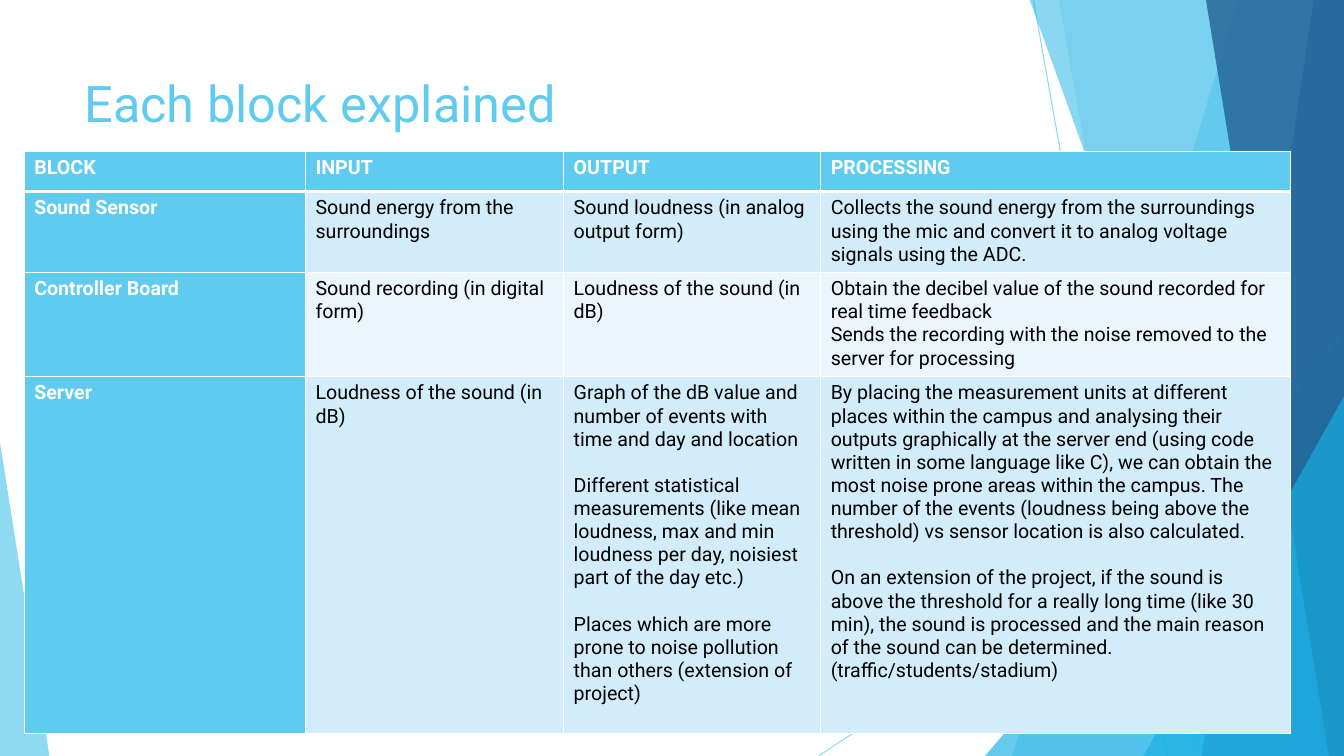
from lxml.etree import SubElement
from pptx import Presentation
from pptx.dml.color import RGBColor
from pptx.enum.shapes import MSO_CONNECTOR, MSO_SHAPE
from pptx.oxml.ns import qn
from pptx.util import Pt

EMU_PER_PX = 9144
WIDTH, HEIGHT = 1333, 750
FONT = "Roboto"
TEXT_SIZE = 14
BLANK_LINE = Pt(16.4)

WHITE = RGBColor(0xFF, 0xFF, 0xFF)
BLACK = RGBColor(0x00, 0x00, 0x00)
SKY = RGBColor(0x5F, 0xCB, 0xEF)
CYAN = RGBColor(0x17, 0xB0, 0xE4)
BLUE = RGBColor(0x2E, 0x83, 0xC3)
NAVY = RGBColor(0x22, 0x62, 0x92)
ROW_TINTS = [RGBColor(0xD2, 0xEC, 0xF9), RGBColor(0xEA, 0xF6, 0xFC)]

COLUMN_WIDTHS = [279, 256, 255, 466]
ROW_HEIGHTS = [40, 79, 102, 354]
# Each cell is a list of paragraphs.
BLOCKS = [
    [["BLOCK"], ["INPUT"], ["OUTPUT"], ["PROCESSING"]],
    [["Sound Sensor"],
     ["Sound energy from the surroundings"],
     ["Sound loudness (in analog output form)"],
     ["Collects the sound energy from the surroundings using the mic and "
      "convert it to analog voltage signals using the ADC."]],
    [["Controller Board"],
     ["Sound recording (in digital form)"],
     ["Loudness of the sound (in dB)"],
     ["Obtain the decibel value of the sound recorded for real time feedback",
      "Sends the recording with the noise removed to the server for processing"]],
    [["Server"],
     ["Loudness of the sound (in dB)"],
     ["Graph of the dB value and number of events with time and day and location",
      "Different statistical measurements (like mean loudness, max and min "
      "loudness per day, noisiest part of the day etc.)",
      "Places which are more prone to noise pollution than others "
      "(extension of project)"],
     ["By placing the measurement units at different places within the campus "
      "and analysing their outputs graphically at the server end (using code "
      "written in some language like C), we can obtain the most noise prone "
      "areas within the campus. The number of the events (loudness being above "
      "the threshold) vs sensor location is also calculated.",
      "On an extension of the project, if the sound is above the threshold for "
      "a really long time (like 30 min), the sound is processed and the main "
      "reason of the sound can be determined. (traffic/students/stadium)"]],
]
SERVER_ROW = 3


def px(*lengths):
    return [length * EMU_PER_PX for length in lengths]


def set_opacity(shape_properties, percent):
    color = next(shape_properties.iter(qn("a:srgbClr")))
    SubElement(color, qn("a:alpha"), val=str(percent * 1000))


def paint(facet, color, opacity):
    facet.shadow.inherit = False
    facet.fill.solid()
    facet.fill.fore_color.rgb = color
    facet.line.fill.background()
    set_opacity(facet._element.spPr, opacity)


def add_ray(slide, start, end):
    ray = slide.shapes.add_connector(MSO_CONNECTOR.STRAIGHT, *px(*start, *end))
    ray.line.color.rgb = SKY
    ray.line.width = Pt(0.75)
    set_opacity(ray._element.spPr, 70)
    SubElement(ray._element.spPr, qn("a:effectLst"))


def add_band(slide, top_x, bottom_x, color, opacity):
    """Fill from a slanted left edge to the right side of the slide."""
    builder = slide.shapes.build_freeform(top_x, -1, scale=EMU_PER_PX)
    builder.add_line_segments(
        [(WIDTH, -1), (WIDTH, HEIGHT), (bottom_x, HEIGHT)], close=True)
    paint(builder.convert_to_shape(), color, opacity)


def add_corner(slide, left, top, width, apex, color, opacity):
    """Right triangle standing on the bottom edge; apex 0 is left, 1 right."""
    corner = slide.shapes.add_shape(
        MSO_SHAPE.ISOSCELES_TRIANGLE, *px(left, top, width, HEIGHT - top))
    corner.adjustments[0] = apex
    paint(corner, color, opacity)


def add_backdrop(slide):
    add_ray(slide, (1025, 0), (1158, HEIGHT))
    add_ray(slide, (WIDTH, 403), (812, HEIGHT))
    add_band(slide, 1228, 1004, SKY, 36)
    add_band(slide, 1050, 1183, SKY, 20)
    add_corner(slide, 977, 333, 356, 1, CYAN, 66)
    add_band(slide, 1021, 1291, CYAN, 50)
    add_band(slide, 1303, 1192, BLUE, 70)
    add_band(slide, 1196, 1318, NAVY, 80)
    add_corner(slide, 1134, 393, 199, 1, CYAN, 66)
    add_corner(slide, 0, 439, 49, 0, SKY, 70)


def style_font(paragraph, size, color, bold=False):
    for run in paragraph.runs:
        run.font.name = FONT
        run.font.size = Pt(size)
        run.font.bold = bold
        run.font.color.rgb = color


def add_title(slide, text):
    frame = slide.shapes.add_textbox(*px(74, 67, 940, 80)).text_frame
    frame.word_wrap = True
    frame.text = text
    style_font(frame.paragraphs[0], 36, SKY)


def set_borders(cell, top, bottom):
    for side, points in (("L", 1), ("R", 1), ("T", top), ("B", bottom)):
        border = SubElement(cell._tc.get_or_add_tcPr(), qn(f"a:ln{side}"),
                            w=str(Pt(points)))
        fill = SubElement(border, qn("a:solidFill"))
        SubElement(fill, qn("a:srgbClr"), val=str(WHITE))


def fill_cell(cell, paragraphs, row, column):
    is_heading = row == 0 or column == 0
    set_borders(cell, top=3 if row == 1 else 1, bottom=3 if row == 0 else 1)
    cell.fill.solid()
    cell.fill.fore_color.rgb = SKY if is_heading else ROW_TINTS[(row - 1) % 2]
    cell.text_frame.text = "\n".join(paragraphs)
    for index, paragraph in enumerate(cell.text_frame.paragraphs):
        style_font(paragraph, TEXT_SIZE, WHITE if is_heading else BLACK, is_heading)
        if row == SERVER_ROW and index:
            paragraph.space_before = BLANK_LINE


def add_block_table(slide):
    table = slide.shapes.add_table(
        len(BLOCKS), len(COLUMN_WIDTHS),
        *px(24, 150, sum(COLUMN_WIDTHS), sum(ROW_HEIGHTS))).table
    for column, width in zip(table.columns, px(*COLUMN_WIDTHS)):
        column.width = width
    for row, height in zip(table.rows, px(*ROW_HEIGHTS)):
        row.height = height
    for r, block in enumerate(BLOCKS):
        for c, paragraphs in enumerate(block):
            fill_cell(table.cell(r, c), paragraphs, r, c)


def main():
    deck = Presentation()
    deck.slide_width, deck.slide_height = px(WIDTH, HEIGHT)
    slide = deck.slides.add_slide(deck.slide_layouts[6])
    add_backdrop(slide)
    add_title(slide, "Each block explained")
    add_block_table(slide)
    deck.save("out.pptx")


if __name__ == "__main__":
    main()
